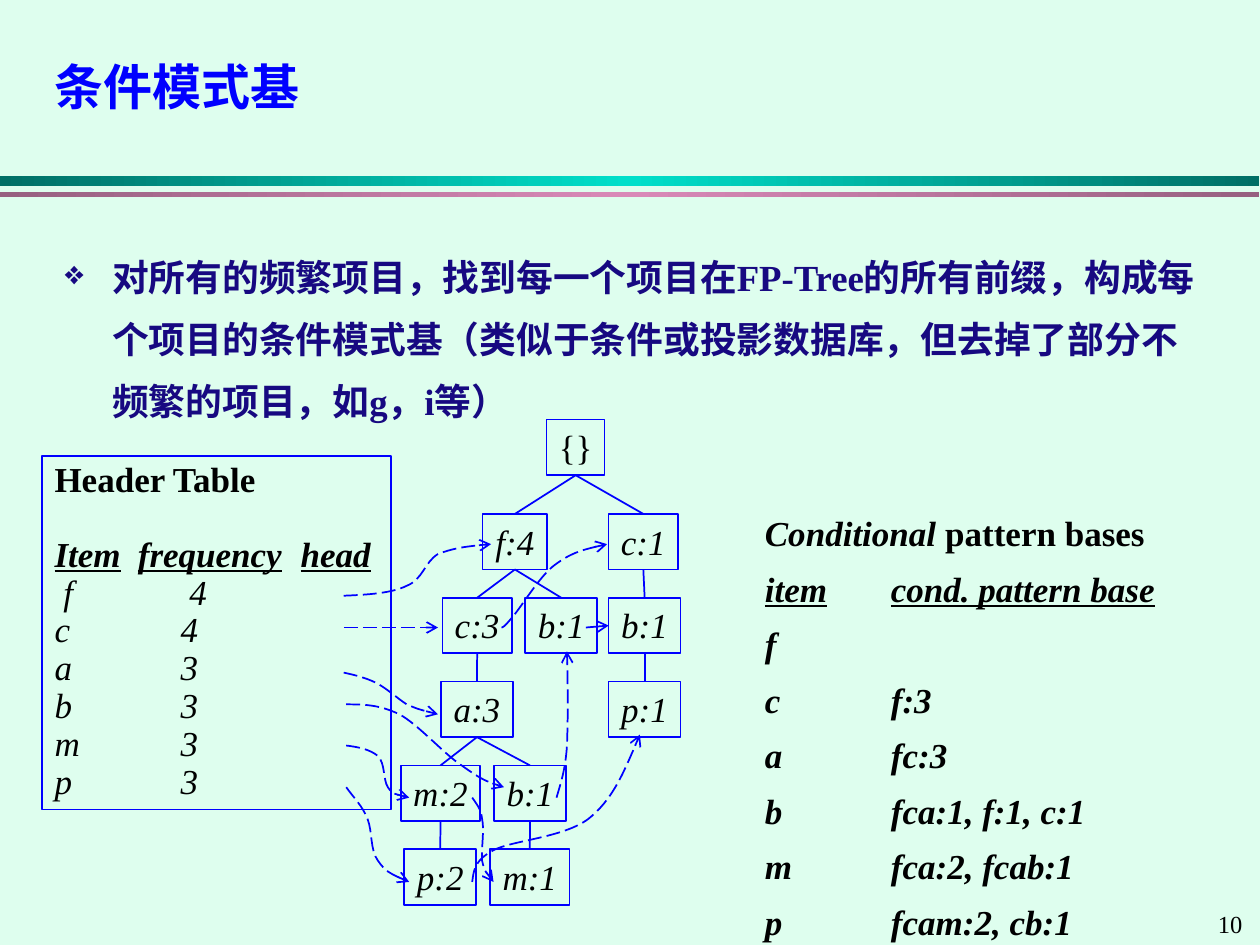
from lxml import etree
from copy import deepcopy
from pptx import Presentation
from pptx.dml.color import RGBColor
from pptx.enum.dml import MSO_LINE
from pptx.enum.shapes import MSO_CONNECTOR, MSO_SHAPE
from pptx.enum.text import MSO_ANCHOR, PP_ALIGN
from pptx.oxml.ns import qn
from pptx.util import Cm, Pt

STRAIGHT = MSO_CONNECTOR.STRAIGHT
RECTANGLE = MSO_SHAPE.RECTANGLE
LONG_DASH = MSO_LINE.LONG_DASH
TOP, MIDDLE = MSO_ANCHOR.TOP, MSO_ANCHOR.MIDDLE
LEFT, CENTER = PP_ALIGN.LEFT, PP_ALIGN.CENTER

MINT = RGBColor(0xDE, 0xFE, 0xEE)
BLUE = RGBColor(0x00, 0x00, 0xFF)
NAVY = RGBColor(0x17, 0x09, 0x81)
BLACK = RGBColor(0x00, 0x00, 0x00)
TEAL, AQUA = RGBColor(0x00, 0x6F, 0x65), RGBColor(0x00, 0xDF, 0xCA)
MAUVE, PINK = RGBColor(0x97, 0x60, 0x80), RGBColor(0xD9, 0x89, 0xB8)
FONT = "Times New Roman"

NODE_WIDTHS = {"{": 1.17, "f": 1.3, "c": 1.4, "a": 1.45, "b": 1.45, "p": 1.45, "m": 1.6}
TREE = {
    "root": ("{}", 0, 2.94, None),
    "f": ("f:4", 1, 1.65, "root"),
    "c right": ("c:1", 1, 4.19, "root"),
    "c": ("c:3", 2, 0.84, "f"),
    "b middle": ("b:1", 2, 2.51, "f"),
    "b right": ("b:1", 2, 4.19, "c right"),
    "a": ("a:3", 3, 0.81, "c"),
    "p right": ("p:1", 3, 4.19, "b right"),
    "m": ("m:2", 4, 0, "a"),
    "b": ("b:1", 4, 1.88, "a"),
    "p": ("p:2", 5, 0.07, "m"),
    "m right": ("m:1", 5, 1.8, "b"),
}
THREADS = [
    [(0, 1.04), (0.48, 1.02), (0.97, 0.99), (1.27, 0.84), (1.6, 0.71), (1.63, 0.36),
     (1.9, 0.2), (2.21, 0.08), (2.59, 0.03), (2.97, 0)],
    [(3.18, 1.68), (3.2, 1.68), (3.23, 1.68), (3.4, 1.47), (3.58, 1.27), (3.94, 0.66),
     (4.24, 0.43), (4.57, 0.18), (4.93, 0.08), (5.31, 0)],
    [(0, 2.59), (0.23, 2.64), (0.43, 2.69), (0.64, 2.79), (0.86, 2.9), (1.07, 3.1),
     (1.27, 3.23), (1.5, 3.33), (1.7, 3.38), (1.9, 3.43)],
    [(0.05, 3.23), (0.38, 3.23), (0.71, 3.23), (1.12, 3.43), (1.5, 3.63), (2.03, 4.24),
     (2.39, 4.47), (2.74, 4.72), (2.97, 4.83), (3.23, 4.9)],
    [(4.29, 5.11), (4.37, 4.83), (4.47, 4.55), (4.5, 4.06), (4.52, 3.56), (4.52, 2.87),
     (4.5, 2.16)],
    [(0.05, 4.06), (0.3, 4.09), (0.53, 4.14), (0.69, 4.27), (0.84, 4.42), (0.79, 4.75),
     (0.89, 4.9), (0.99, 5.05), (1.17, 5.08), (1.32, 5.11)],
    [(2.59, 5.11), (2.67, 5.23), (2.77, 5.33), (2.79, 5.54), (2.84, 5.74), (2.77, 6.17),
     (2.79, 6.38), (2.84, 6.6), (2.92, 6.71), (3.02, 6.81)],
    [(0.05, 4.9), (0.2, 5.11), (0.38, 5.28), (0.48, 5.54), (0.58, 5.79), (0.53, 6.17),
     (0.69, 6.38), (0.84, 6.6), (1.07, 6.71), (1.32, 6.81)],
    [(2.59, 6.81), (2.62, 6.6), (2.62, 6.38), (3.02, 6.17), (3.4, 5.97), (4.42, 5.92),
     (4.93, 5.54), (5.41, 5.16), (5.69, 4.5), (5.97, 3.84)],
]


def add_child(parent, tag, **attributes):
    """Append one XML element and return it."""
    return etree.SubElement(parent, qn(tag), attributes)


def set_tab(paragraph, position):
    """Give a paragraph one left tab stop."""
    tabs = add_child(paragraph._p.get_or_add_pPr(), "a:tabLst")
    add_child(tabs, "a:tab", pos=str(Cm(position)), algn="l")


def style(font, size, color=BLACK, bold=False, italic=False, underline=False):
    """Set the face, size, colour and emphasis of a font."""
    font.name, font.size, font.color.rgb = FONT, Pt(size), color
    font.bold, font.italic, font.underline = bold, italic, underline


def add_text(slide, box, anchor=TOP):
    """Add a wrapping text box and return its frame."""
    frame = slide.shapes.add_textbox(*map(Cm, box)).text_frame
    frame.word_wrap, frame.vertical_anchor = True, anchor
    return frame


def add_frame(slide, box, align):
    """Add an unfilled blue rectangle and return it."""
    outline = slide.shapes.add_shape(RECTANGLE, *map(Cm, box))
    outline.shadow.inherit = False
    outline.fill.background()
    outline.line.color.rgb, outline.line.width = BLUE, Pt(1)
    outline.text_frame.vertical_anchor = TOP
    outline.text_frame.paragraphs[0].alignment = align
    return outline


def add_line(slide, start, end):
    """Add a straight blue connector."""
    link = slide.shapes.add_connector(STRAIGHT, *map(Cm, start + end))
    link.line.color.rgb, link.line.width = BLUE, Pt(1)
    add_child(link._element.spPr, "a:effectLst")
    return link


def make_thread(line):
    """Make a line long-dashed with an open arrowhead at its end."""
    line.dash_style = LONG_DASH
    add_child(line._get_or_add_ln(), "a:tailEnd", type="arrow")


def add_curve(slide, left, top, points):
    """Draw one dashed Bezier arrow through groups of three points."""
    (start_x, start_y), *rest = [(Cm(left + x), Cm(top + y)) for x, y in points]
    builder = slide.shapes.build_freeform(start_x, start_y)
    builder.add_line_segments(rest, close=False)
    curve = builder.convert_to_shape()
    curve.shadow.inherit = False
    curve.fill.background()
    curve.line.color.rgb, curve.line.width = BLUE, Pt(1)
    make_thread(curve.line)
    segments = list(curve._element.iter(qn("a:lnTo")))
    outline = segments[0].getparent()
    for first in range(0, len(segments), 3):
        bezier = add_child(outline, "a:cubicBezTo")
        for segment in segments[first:first + 3]:
            bezier.append(segment[0])
            outline.remove(segment)


def add_rule(slide, box, edge, centre):
    """Draw a bar shaded from its edges to its centre."""
    bar = slide.shapes.add_shape(RECTANGLE, *map(Cm, box))
    bar.shadow.inherit = False
    bar.line.fill.background()
    bar.fill.gradient()
    bar.fill.gradient_angle = 0
    stop_list = next(bar._element.iter(qn("a:gsLst")))
    stop_list.append(deepcopy(stop_list[0]))
    for stop, position, color in zip(bar.fill.gradient_stops, (0, 0.5, 1), (edge, centre, edge)):
        stop.position, stop.color.rgb = position, color


def add_heading(slide, box):
    """Write the slide title."""
    title = add_text(slide, box, MIDDLE).paragraphs[0]
    title.text, title.line_spacing = "条件模式基", 0.9
    style(title.font, 28, BLUE, bold=True)


def add_definition(slide, box):
    """Write the bulleted definition."""
    definition = add_text(slide, box).paragraphs[0]
    definition.text = ("对所有的频繁项目，找到每一个项目在FP-Tree的所有前缀，构成每个项目的条件模式基"
                       "（类似于条件或投影数据库，但去掉了部分不频繁的项目，如g，i等）")
    properties = definition._p.get_or_add_pPr()
    properties.set("marL", str(Cm(0.95)))
    properties.set("indent", str(Cm(-0.95)))
    add_child(add_child(properties, "a:buClr"), "a:srgbClr", val=str(NAVY))
    add_child(properties, "a:buSzPct", val="90000")
    add_child(properties, "a:buChar", char="❖")
    definition.line_spacing = 1.4
    style(definition.font, 21, NAVY, bold=True)


def add_pattern_bases(slide, box):
    """List the conditional pattern base of each item."""
    frame = add_text(slide, box)
    heading = frame.paragraphs[0]
    for words, italic in (("Conditional ", True), ("pattern bases", False)):
        run = heading.add_run()
        run.text = words
        style(run.font, 20, bold=True, italic=italic)
    rows = ["item\tcond. pattern base", "f", "c\tf:3", "a\tfc:3", "b\tfca:1, f:1, c:1",
            "m\tfca:2, fcab:1", "p\tfcam:2, cb:1"]
    for row in rows:
        entry = frame.add_paragraph()
        entry.text = row
        set_tab(entry, 2.54)
        entry.line_spacing, entry.space_before = 0.8, Pt(12.5)
        style(entry.font, 20, bold=True, italic=True, underline=row == rows[0])


def add_header_table(slide, box):
    """List items and their frequencies in a framed box."""
    frame = add_frame(slide, box, LEFT).text_frame
    heading = frame.paragraphs[0]
    heading.text, heading.line_spacing = "Header Table", 0.9
    style(heading.font, 20, bold=True)
    columns = frame.add_paragraph()
    columns.text, columns.alignment = "Item\tfrequency\thead", LEFT
    set_tab(columns, 1.68)
    add_child(columns._p.pPr.find(qn("a:tabLst")), "a:tab", pos=str(Cm(4.96)), algn="l")
    columns.line_spacing, columns.space_before = 0.9, Pt(21)
    style(columns.font, 20, bold=True, italic=True, underline=True)
    for item, frequency in zip("fcabmp", (4, 4, 3, 3, 3, 3)):
        entry = frame.add_paragraph()
        entry.text, entry.alignment = f"{item}\t{frequency}", LEFT
        if item == "f":
            entry._p.get_or_add_pPr().set("marL", str(Cm(0.18)))
        set_tab(entry, 2.54)
        entry.line_spacing = 0.9
        style(entry.font, 20, italic=True)


def add_tree(slide, left, top):
    """Draw the FP-tree and return its nodes by name."""
    nodes = {}
    for name, (label, level, x, parent) in TREE.items():
        y = 0.21 + 1.69 * level if level else 0
        node = add_frame(slide, (left + x, top + y, NODE_WIDTHS[label[0]], 1.12), CENTER)
        node.text_frame.word_wrap = False
        caption = node.text_frame.paragraphs[0]
        caption.text = label
        style(caption.font, 20, italic=level > 0)
        nodes[name] = node
        if parent:
            branch = add_line(slide, (left, top), (left, top))
            branch.begin_connect(nodes[parent], 2)
            branch.end_connect(node, 0)
    return nodes


def add_threads(slide, left, top, nodes):
    """Draw the dashed node links from the header table through the tree."""
    for points in THREADS:
        add_curve(slide, left, top, points)
    row = top + 1.68
    make_thread(add_line(slide, (left, row), (left + 1.9, row)).line)
    sibling = add_line(slide, (left + 4.88, row), (left + 5.31, row))
    sibling.end_connect(nodes["b right"], 1)
    make_thread(sibling.line)


def add_page_number(slide, box):
    """Write the page number."""
    number = add_text(slide, box).paragraphs[0]
    number.text = "10"
    style(number.font, 14)


def main():
    """Build and save the slide."""
    deck = Presentation()
    deck.slide_width, deck.slide_height = Cm(25.4), Cm(19.05)
    slide = deck.slides.add_slide(deck.slide_layouts[6])
    slide.background.fill.solid()
    slide.background.fill.fore_color.rgb = MINT
    add_rule(slide, (0, 3.55, 25.38, 0.2), TEAL, AQUA)
    add_rule(slide, (0, 3.87, 25.38, 0.1), MAUVE, PINK)
    add_page_number(slide, (24.3, 18.2, 1.1, 0.85))
    add_heading(slide, (0.85, 0.85, 23.7, 1.9))
    add_definition(slide, (1.06, 4.66, 23.28, 4))
    add_pattern_bases(slide, (15.17, 10.19, 9.25, 8.94))
    nodes = add_tree(slide, 8.08, 8.46)
    add_header_table(slide, (0.85, 9.2, 7.04, 7.12))
    add_threads(slide, 6.93, 10.97, nodes)
    deck.save("out.pptx")


if __name__ == "__main__":
    main()
